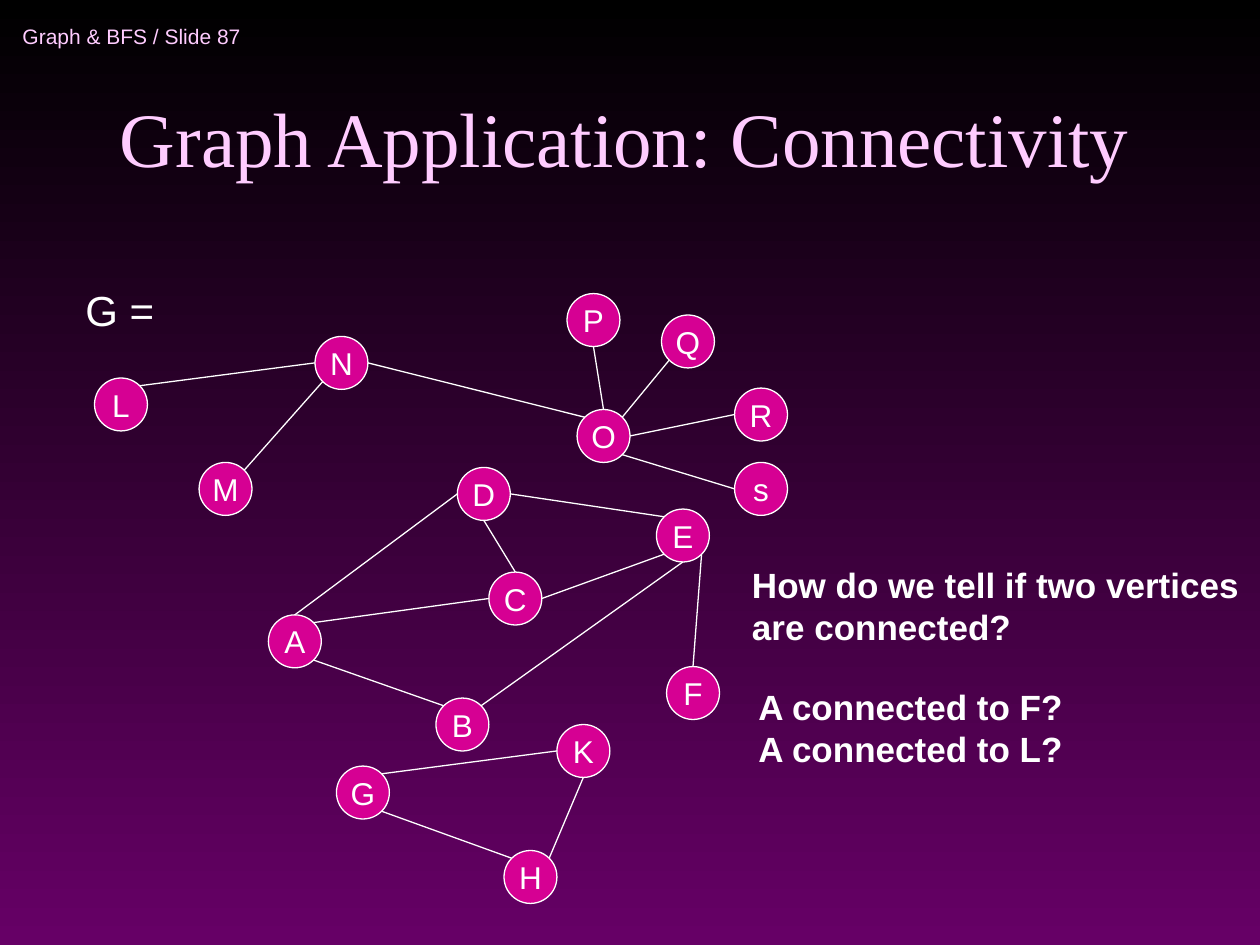
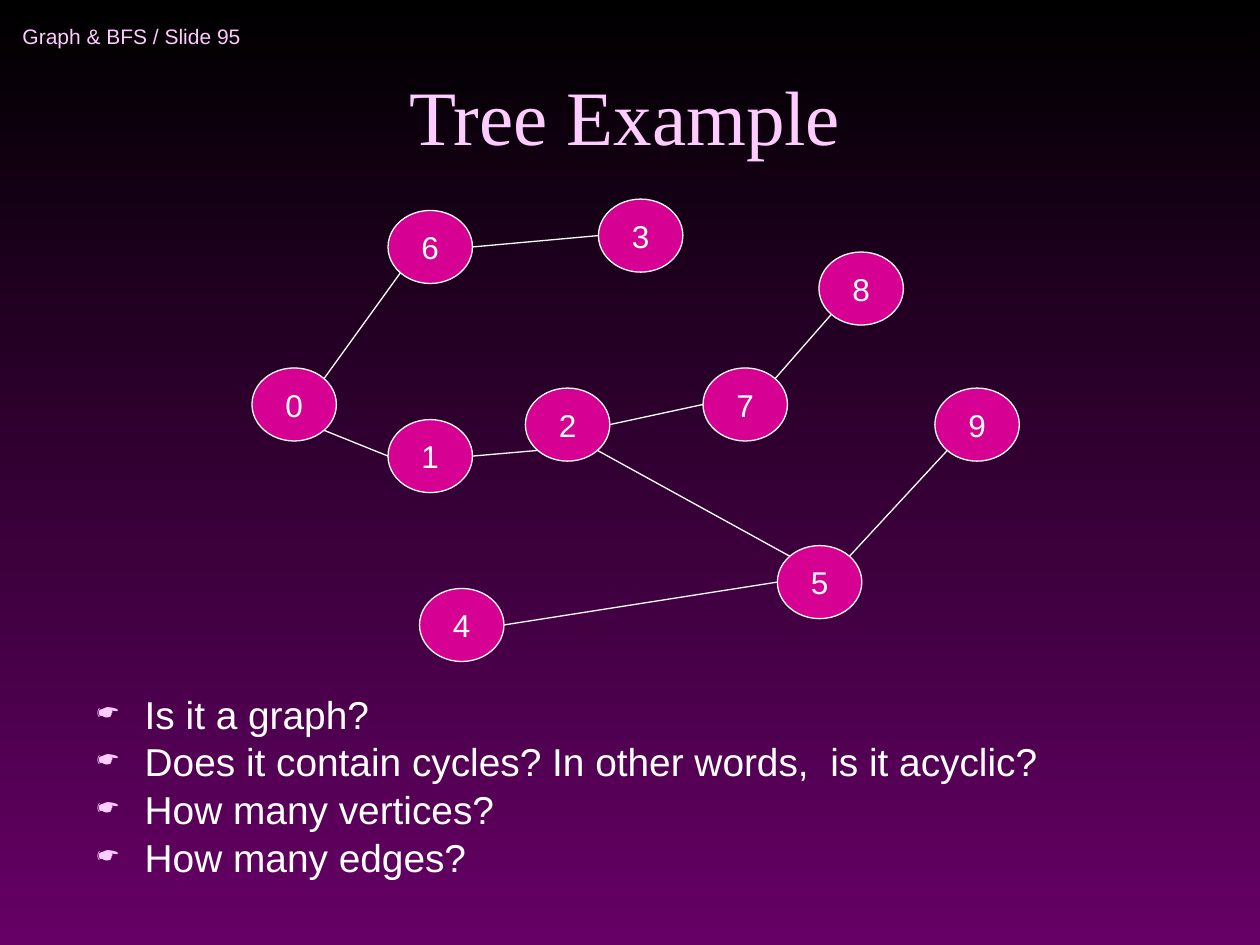
from lxml import etree
from pptx import Presentation
from pptx.dml.color import RGBColor
from pptx.enum import shapes, text
from pptx.oxml.ns import qn
from pptx.util import Inches, Pt

COLORS = {"top": "000000", "bottom": "660066", "accent": "FFCCFF",
          "node": "D60093", "white": "FFFFFF"}

STYLES = {
    "header": {"name": "Arial", "size": Pt(12)},
    "title": {"name": "Times New Roman", "size": Pt(44)},
    "node": {"name": "Arial", "size": Pt(18)},
    "label": {"name": "Arial", "size": Pt(24)},
    "question": {"name": "Arial", "size": Pt(20), "bold": True},
    "bullet": {"name": "Arial", "size": Pt(22.2)},
}

# Unit directions from a node's centre to its rim
DIAGONAL = 0.7071
COMPASS = {"N": (0, -1), "S": (0, 1), "W": (-1, 0), "E": (1, 0),
           "NW": (-DIAGONAL, -DIAGONAL), "NE": (DIAGONAL, -DIAGONAL),
           "SW": (-DIAGONAL, DIAGONAL), "SE": (DIAGONAL, DIAGONAL)}

# Left and top of every node; edges name both nodes and the sides they touch
GRAPH_NODES = {
    "D": (3.63, 3.71), "E": (5.21, 4.04), "A": (2.13, 4.88), "C": (3.88, 4.54),
    "F": (5.29, 5.29), "B": (3.46, 5.54), "G": (2.67, 6.08), "K": (4.42, 5.75),
    "H": (4, 6.75), "L": (0.75, 3), "N": (2.5, 2.67), "M": (1.58, 3.67),
    "O": (4.58, 3.25), "R": (5.83, 3.08), "Q": (5.25, 2.5), "P": (4.5, 2.33),
    "s": (5.83, 3.67),
}
GRAPH_EDGES = [
    "A SE B NW", "A NE C W", "D W A N", "D S C N", "D E E NW", "C E E SW",
    "F N E SE", "E S B NE", "G SE H NW", "G NE K W", "L NE N W", "K S H NE",
    "M NE N SW", "N E O NW", "O E R W", "O N P S", "O NE Q SW", "O SE s W",
]
TREE_NODES = {
    "0": (2, 2.92), "1": (3.08, 3.33), "2": (4.17, 3.08), "3": (4.75, 1.58),
    "4": (3.33, 4.67), "5": (6.17, 4.33), "6": (3.08, 1.67), "7": (5.58, 2.92),
    "8": (6.5, 2), "9": (7.42, 3.08),
}
TREE_EDGES = ["0 SE 1 W", "0 NE 6 SW", "6 E 3 W", "1 E 2 SW", "4 E 5 W",
              "2 SE 5 NW", "5 NE 9 SW", "2 E 7 W", "7 NE 8 SW"]


def color(name):
    return RGBColor.from_string(COLORS[name])


def write(frame, lines, style, ink="white", align="LEFT", anchor="TOP", wrap=False):
    settings = {"word_wrap": wrap, "auto_size": text.MSO_AUTO_SIZE.NONE,
                "vertical_anchor": text.MSO_ANCHOR[anchor],
                "margin_left": Inches(0.1), "margin_right": Inches(0.1),
                "margin_top": Inches(0.05), "margin_bottom": Inches(0.05)}
    for name, value in settings.items():
        setattr(frame, name, value)
    for index, line in enumerate(lines):
        para = frame.add_paragraph() if index else frame.paragraphs[0]
        para.alignment = text.PP_ALIGN[align]
        span = para.add_run()
        span.text = line
        for name, value in STYLES[style].items():
            setattr(span.font, name, value)
        span.font.color.rgb = color(ink)


def add_text(page, box, lines, style, **layout):
    frame = page.shapes.add_textbox(*map(Inches, box)).text_frame
    write(frame, lines, style, **layout)
    return frame


def set_background(deck):
    fill = deck.slide_master.background.fill
    fill.gradient()
    fill.gradient_angle = 270
    for stop, position, name in zip(fill.gradient_stops, (0, 1), ("top", "bottom")):
        stop.position = position
        stop.color.rgb = color(name)


def add_page(deck, number, title, title_top):
    page = deck.slides.add_slide(deck.slide_layouts[6])
    add_text(page, (0.08, 0.08, 2.75, 0.42), [f"Graph & BFS / Slide {number}"],
             "header", ink="accent", anchor="MIDDLE")
    add_text(page, (0.67, title_top, 8.58, 1.08), [title], "title",
             ink="accent", align="CENTER", anchor="BOTTOM", wrap=True)
    return page


def add_node(page, box, name):
    node = page.shapes.add_shape(shapes.MSO_SHAPE.OVAL, *map(Inches, box))
    node.shadow.inherit = False
    node.fill.solid()
    node.fill.fore_color.rgb = color("node")
    node.line.color.rgb = color("white")
    node.line.width = Pt(0.75)
    write(node.text_frame, [name], "node", align="CENTER", anchor="MIDDLE")


def add_edge(page, start, end):
    edge = page.shapes.add_connector(shapes.MSO_CONNECTOR.STRAIGHT,
                                     *map(Inches, start + end))
    edge.line.color.rgb = color("white")
    edge.line.width = Pt(0.75)
    etree.SubElement(edge._element.spPr, qn("a:effectLst"))


def draw_network(page, nodes, edges, size):
    width, height = size

    def rim(name, side):
        left, top = nodes[name]
        across, down = COMPASS[side]
        return left + width / 2 * (1 + across), top + height / 2 * (1 + down)

    for name, corner in nodes.items():
        add_node(page, corner + size, name)
    for edge in edges:
        first, first_side, second, second_side = edge.split()
        add_edge(page, rim(first, first_side), rim(second, second_side))


def add_bullets(page, box, lines):
    frame = add_text(page, box, lines, "bullet", wrap=True)
    for index, para in enumerate(frame.paragraphs):
        para.line_spacing = 0.8
        para.space_before = Pt(6 if index else 0)
        properties = para._p.get_or_add_pPr()
        properties.set("marL", str(Inches(0.38)))
        properties.set("indent", str(-Inches(0.38)))
        tint = etree.SubElement(properties, qn("a:buClr"))
        etree.SubElement(tint, qn("a:srgbClr"), val=COLORS["accent"])
        etree.SubElement(properties, qn("a:buSzPct"), val="75000")
        etree.SubElement(properties, qn("a:buChar"), char="☛")


def build_connectivity(deck):
    page = add_page(deck, 87, "Graph Application: Connectivity", 0.42)
    draw_network(page, GRAPH_NODES, GRAPH_EDGES, (0.42, 0.42))
    # Questions beside the graph
    add_text(page, (5.87, 4.42, 4.14, 0.77),
             ["How do we tell if two vertices", "are connected?"], "question")
    add_text(page, (5.92, 5.39, 2.63, 0.77),
             ["A connected to F?", "A connected to L?"], "question")
    add_text(page, (0.58, 2.21, 0.74, 0.5), ["G ="], "label")


def build_tree(deck):
    page = add_page(deck, 95, "Tree Example", 0.25)
    add_bullets(page, (0.67, 5.5, 8.58, 1.58), [
        "Is it a graph?",
        "Does it contain cycles? In other words,  is it acyclic?",
        "How many vertices?",
        "How many edges?",
    ])
    draw_network(page, TREE_NODES, TREE_EDGES, (0.67, 0.58))


def main():
    deck = Presentation()
    deck.slide_width, deck.slide_height = Inches(10), Inches(7.5)
    set_background(deck)
    build_connectivity(deck)
    build_tree(deck)
    deck.save("out.pptx")


if __name__ == "__main__":
    main()
